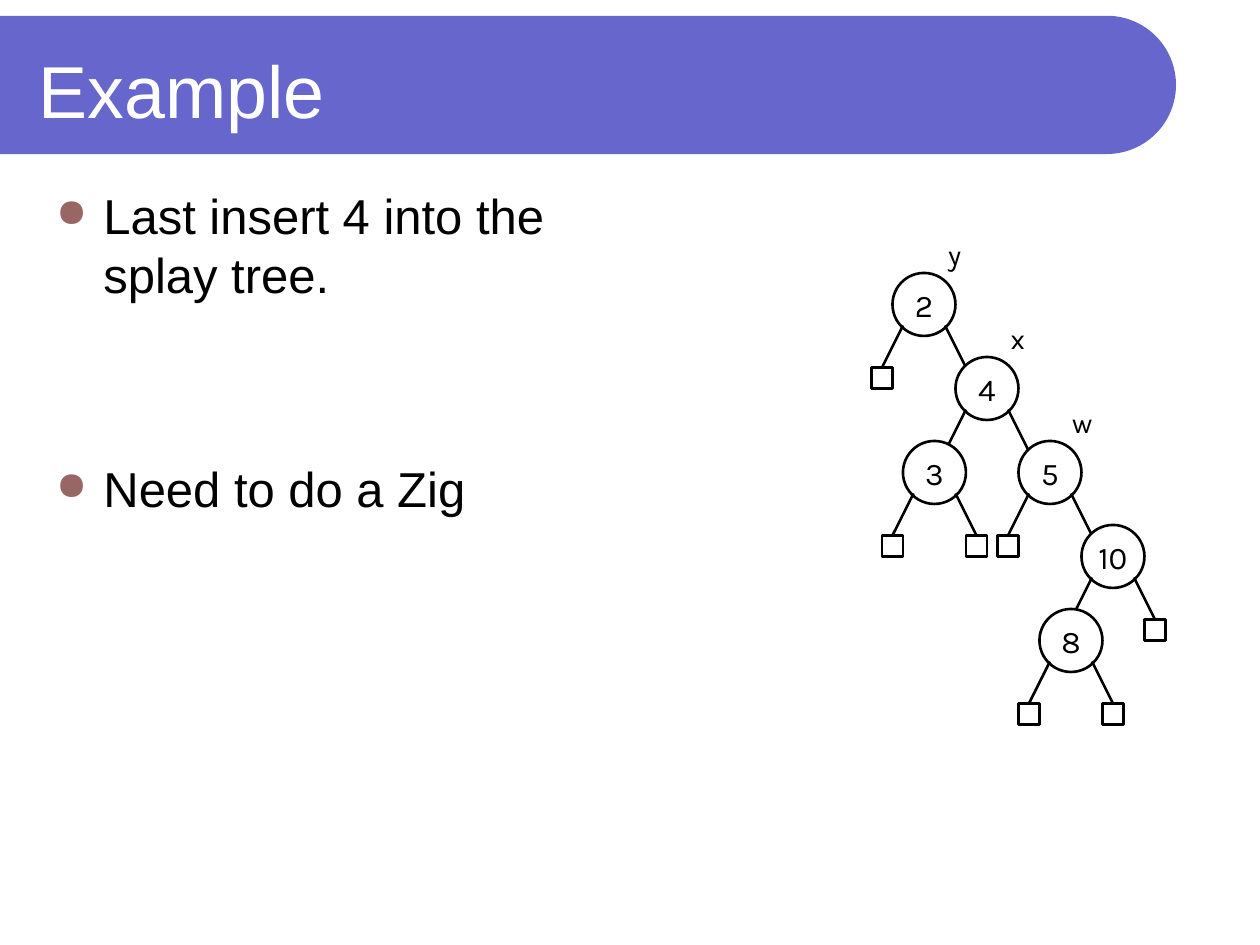
from math import cos, pi, sin

from lxml import etree
from pptx import Presentation
from pptx.dml.color import RGBColor
from pptx.enum.shapes import MSO_CONNECTOR as CONNECTOR, MSO_SHAPE as SHAPE
from pptx.enum.text import MSO_ANCHOR as ANCHOR, MSO_AUTO_SIZE as AUTO_SIZE, PP_ALIGN as ALIGN
from pptx.oxml.ns import qn
from pptx.util import Pt

BLACK, WHITE, VIOLET, ROSE = "000000", "FFFFFF", "6666CC", "996666"
NODE_SIZE, LEAF_SIZE = 36, 12
EDGE_START, EDGE_WIDTH, EDGE_HEIGHT = 12, 12, 24

# Each node: key, label, left child, right child; a child is (horizontal offset, node) or None for a leaf.
LEVEL_HEIGHT = 48
EIGHT = ("8", None, None, None)
TEN = ("10", None, (-24, EIGHT), None)
FIVE = ("5", "w", None, (36, TEN))
THREE = ("3", None, None, None)
FOUR = ("4", "x", (-30, THREE), (36, FIVE))
TREE = ("2", "y", None, (36, FOUR))


def color(value):
    return RGBColor.from_string(value)


def set_font(paragraph, name, size, value):
    paragraph.font.name = name
    paragraph.font.size = Pt(size)
    paragraph.font.color.rgb = color(value)


def add_band(slide, left, top, width, height):
    radius = height / 2
    center_x, center_y = left + width - radius, top + radius
    steps = 48
    angles = [-pi / 2 + pi * step / steps for step in range(steps + 1)]
    arc = [(Pt(center_x + radius * cos(a)), Pt(center_y + radius * sin(a))) for a in angles]
    builder = slide.shapes.build_freeform(Pt(left), Pt(top))
    builder.add_line_segments(arc + [(Pt(left), Pt(top + height))], close=True)
    band = builder.convert_to_shape()
    band.shadow.inherit = False
    band.fill.solid()
    band.fill.fore_color.rgb = color(VIOLET)
    band.line.fill.background()
    slide.shapes._spTree.insert(2, band._element)


def add_title(slide, text, left, top, width, height):
    title = slide.shapes.title
    title.left, title.top, title.width, title.height = map(Pt, (left, top, width, height))
    frame = title.text_frame
    frame.text = text
    frame.auto_size = AUTO_SIZE.NONE
    frame.vertical_anchor = ANCHOR.MIDDLE
    frame.paragraphs[0].alignment = ALIGN.LEFT
    set_font(frame.paragraphs[0], "Arial", 42, WHITE)


def add_bullet(paragraph):
    properties = paragraph._p.get_or_add_pPr()
    properties.set("marL", str(Pt(27)))
    properties.set("indent", str(-Pt(27)))
    bullet_color = etree.SubElement(properties, qn("a:buClr"))
    etree.SubElement(bullet_color, qn("a:srgbClr"), val=ROSE)
    etree.SubElement(properties, qn("a:buSzPct"), val="80000")
    etree.SubElement(properties, qn("a:buChar"), char="●")


def add_body(slide, items, gap, left, top, width, height):
    frame = slide.shapes.add_textbox(*map(Pt, (left, top, width, height))).text_frame
    frame.word_wrap = True
    frame.margin_top = Pt(6)
    for index, text in enumerate(items):
        paragraph = frame.paragraphs[0] if index == 0 else frame.add_paragraph()
        paragraph.text = text
        add_bullet(paragraph)
        paragraph.space_before = Pt(gap if index else 0)
        set_font(paragraph, "Arial", 28, BLACK)


def add_outline(slide, kind, left, top, size):
    shape = slide.shapes.add_shape(kind, Pt(left), Pt(top), Pt(size), Pt(size))
    shape.shadow.inherit = False
    shape.line.color.rgb = color(BLACK)
    shape.line.width = Pt(1.5)
    return shape


def add_node(slide, key, center_x, center_y):
    half = NODE_SIZE / 2
    node = add_outline(slide, SHAPE.OVAL, center_x - half, center_y - half, NODE_SIZE)
    node.fill.solid()
    node.fill.fore_color.rgb = color(WHITE)
    frame = node.text_frame
    frame.word_wrap = False
    frame.vertical_anchor = ANCHOR.MIDDLE
    frame.text = key
    frame.paragraphs[0].alignment = ALIGN.CENTER
    set_font(frame.paragraphs[0], "Karla", 18, BLACK)


def add_label(slide, text, center_x, top):
    width = 24
    box = slide.shapes.add_textbox(Pt(center_x - width / 2), Pt(top), Pt(width), Pt(26.6))
    frame = box.text_frame
    frame.word_wrap = False
    frame.text = text
    frame.paragraphs[0].alignment = ALIGN.CENTER
    set_font(frame.paragraphs[0], "Karla", 16, BLACK)


def add_edge(slide, start_x, start_y, end_x, end_y):
    edge = slide.shapes.add_connector(CONNECTOR.STRAIGHT, *map(Pt, (start_x, start_y, end_x, end_y)))
    edge.line.color.rgb = color(BLACK)
    edge.line.width = Pt(1.5)
    etree.SubElement(edge._element.spPr, qn("a:effectLst"))


def add_subtree(slide, tree, center_x, center_y):
    key, label, *children = tree
    add_node(slide, key, center_x, center_y)
    if label:
        add_label(slide, label, center_x + 17.5, center_y - 42)
    for side, child in zip((-1, 1), children):
        start_x, start_y = center_x + side * EDGE_START, center_y + EDGE_START
        end_x, end_y = start_x + side * EDGE_WIDTH, start_y + EDGE_HEIGHT
        add_edge(slide, start_x, start_y, end_x, end_y)
        if child:
            offset, subtree = child
            add_subtree(slide, subtree, center_x + offset, center_y + LEVEL_HEIGHT)
        else:
            leaf = add_outline(slide, SHAPE.RECTANGLE, end_x - LEAF_SIZE / 2, end_y, LEAF_SIZE)
            leaf.fill.background()


def add_tree(slide, tree, left, top):
    add_subtree(slide, tree, left + 30, top + 42)


def main():
    presentation = Presentation()
    presentation.slide_width, presentation.slide_height = Pt(720), Pt(540)
    slide = presentation.slides.add_slide(presentation.slide_layouts[5])
    add_band(slide, 0, 9, 672, 79)
    add_title(slide, "Example", 15, 15, 631.5, 72)
    items = ("Last insert 4 into the splay tree.", "Need to do a Zig")
    add_body(slide, items, 89, 25, 100, 328.5, 414)
    add_tree(slide, TREE, 498, 132)
    presentation.save("out.pptx")


if __name__ == "__main__":
    main()
